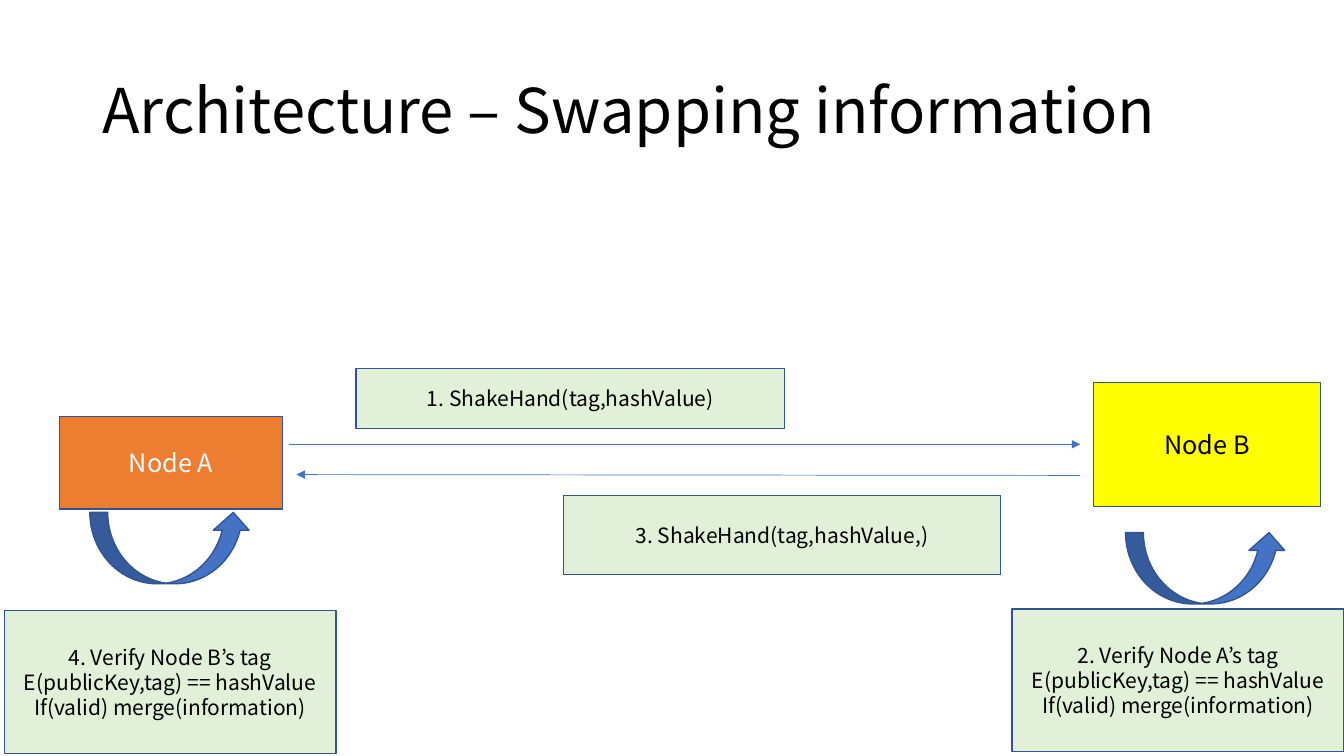
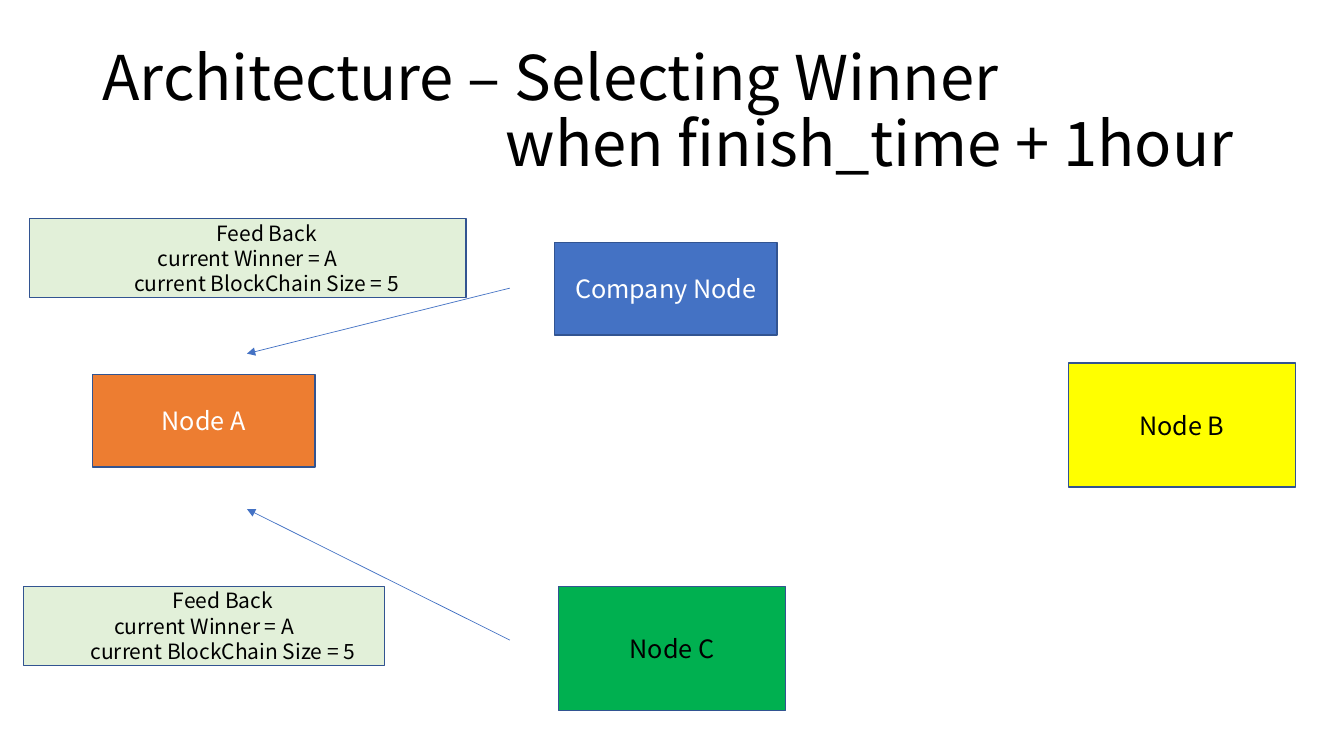
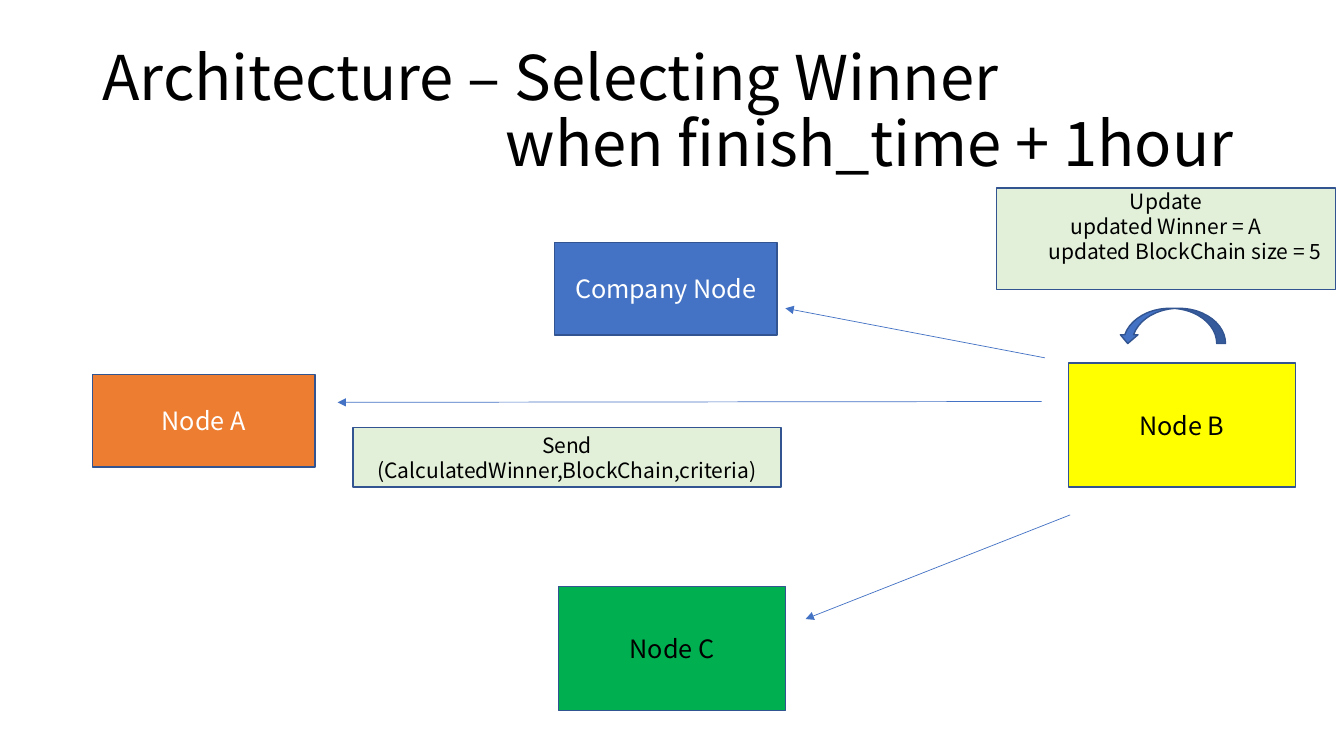
"""Three architecture slides: swapping information and selecting a winner."""
from dataclasses import dataclass

from lxml import etree
from pptx import Presentation
from pptx.dml.color import RGBColor
from pptx.enum.shapes import MSO_CONNECTOR, MSO_SHAPE
from pptx.enum.text import MSO_ANCHOR, MSO_AUTO_SIZE, PP_ALIGN
from pptx.oxml.ns import qn
from pptx.util import Inches, Pt

RECT, LOOP = MSO_SHAPE.RECTANGLE, MSO_SHAPE.CURVED_UP_ARROW
STRAIGHT = MSO_CONNECTOR.STRAIGHT
MIDDLE = MSO_ANCHOR.MIDDLE
LEFT, CENTER = PP_ALIGN.LEFT, PP_ALIGN.CENTER
NO_FIT = MSO_AUTO_SIZE.NONE

SLIDE_W, SLIDE_H = Inches(13.333), Inches(7.5)
COLS, ROWS = 160, 90
FONT = "Noto Sans CJK KR"
COLORS = {
    "black": "000000", "white": "FFFFFF", "orange": "ED7D31", "yellow": "FFFF00",
    "green": "00B050", "blue": "4472C4", "mint": "E2F0D9", "edge": "325491",
}
TITLE_BOX = (11, 4.8, 138, 17.4)
TITLE_SIZE, NODE_SIZE, NOTE_SIZE = 44, 18, 15
TITLE_INDENT = 48
NOTE_INDENT = 4.5
SMALL_NODE, LARGE_NODE = (26.5, 11), (27, 14.8)
VERIFY_SIZE = (39.5, 17)
LOOP_SIZE = (19.2, 8.5)


@dataclass(frozen=True)
class Line:
    """One line of text, indented by a number of columns."""
    text: str
    indent: float = 0


@dataclass(frozen=True)
class Box:
    """A filled rectangle with centred text, placed on the grid."""
    at: tuple[float, float]
    size: tuple[float, float]
    lines: tuple[Line, ...]
    fill: str = "mint"
    color: str = "black"
    font_size: int = NOTE_SIZE
    bottom_rows: float = 0.6


@dataclass(frozen=True)
class Arrow:
    """A straight arrow between two grid points."""
    start: tuple[float, float]
    end: tuple[float, float]


@dataclass(frozen=True)
class Loop:
    """A curved arrow from a node back to itself."""
    at: tuple[float, float]
    size: tuple[float, float] = LOOP_SIZE
    rotation: float = 0


@dataclass(frozen=True)
class Page:
    """The title and the drawn items of one slide."""
    title: tuple[Line, ...]
    items: tuple[Box | Arrow | Loop, ...]


def x(cols: float) -> int:
    """Convert grid columns to a length."""
    return round(SLIDE_W * cols / COLS)


def y(rows: float) -> int:
    """Convert grid rows to a length."""
    return round(SLIDE_H * rows / ROWS)


def rgb(name: str) -> RGBColor:
    """Look up a named colour."""
    return RGBColor.from_string(COLORS[name])


def node(name: str, at: tuple[float, float], fill: str,
         color: str = "black", size: tuple[float, float] = LARGE_NODE) -> Box:
    """Describe a network node."""
    return Box(at, size, (Line(name),), fill, color, NODE_SIZE)


def node_a(at: tuple[float, float]) -> Box:
    """Describe node A."""
    return node("Node A", at, "orange", "white", SMALL_NODE)


def node_b(at: tuple[float, float]) -> Box:
    """Describe node B."""
    return node("Node B", at, "yellow")


def verify(step: int, other: str, at: tuple[float, float]) -> Box:
    """Describe the check of the other node's tag."""
    return Box(at, VERIFY_SIZE, (
        Line(f"{step}. Verify Node {other}’s tag"),
        Line("E(publicKey,tag) == hashValue"),
        Line("If(valid) merge(information)"),
    ))


def feedback(at: tuple[float, float], width: float) -> Box:
    """Describe the feedback sent to node A."""
    return Box(at, (width, 9.4), (
        Line("Feed Back", NOTE_INDENT),
        Line("current Winner = A"),
        Line("current BlockChain Size = 5", NOTE_INDENT),
    ))


def write(tf, lines: tuple[Line, ...], size: int, color: str, align) -> None:
    """Fill a text frame with one paragraph per line."""
    tf.word_wrap = True
    tf.auto_size = NO_FIT
    tf.vertical_anchor = MIDDLE
    for i, line in enumerate(lines):
        p = tf.add_paragraph() if i else tf.paragraphs[0]
        p.alignment = align
        if line.indent:
            p._p.get_or_add_pPr().set("marL", str(x(line.indent)))
        r = p.add_run()
        r.text = line.text
        r.font.name, r.font.size = FONT, Pt(size)
        r.font.color.rgb = rgb(color)


def draw_shape(s, kind, at: tuple[float, float], size: tuple[float, float], fill: str):
    """Add an outlined preset shape."""
    sp = s.shapes.add_shape(kind, x(at[0]), y(at[1]), x(size[0]), y(size[1]))
    sp.shadow.inherit = False
    sp.fill.solid()
    sp.fill.fore_color.rgb = rgb(fill)
    sp.line.color.rgb = rgb("edge")
    sp.line.width = Pt(1)
    return sp


def draw_box(s, box: Box) -> None:
    """Draw a text rectangle."""
    tf = draw_shape(s, RECT, box.at, box.size, box.fill).text_frame
    write(tf, box.lines, box.font_size, box.color, CENTER)
    tf.margin_bottom = y(box.bottom_rows)


def draw_loop(s, loop: Loop) -> None:
    """Draw a curved arrow."""
    draw_shape(s, LOOP, loop.at, loop.size, "blue").rotation = loop.rotation


def draw_arrow(s, arrow: Arrow) -> None:
    """Draw a thin connector with an arrowhead at its end."""
    (x1, y1), (x2, y2) = arrow.start, arrow.end
    sp = s.shapes.add_connector(STRAIGHT, x(x1), y(y1), x(x2), y(y2))
    sp.line.color.rgb = rgb("blue")
    sp.line.width = Pt(0.5)
    etree.SubElement(sp.line._get_or_add_ln(), qn("a:tailEnd"), type="triangle")
    etree.SubElement(sp._element.spPr, qn("a:effectLst"))


def draw_title(s, lines: tuple[Line, ...]) -> None:
    """Place and fill the title placeholder."""
    sp = s.shapes.title
    left, top, width, height = TITLE_BOX
    sp.left, sp.top, sp.width, sp.height = x(left), y(top), x(width), y(height)
    write(sp.text_frame, lines, TITLE_SIZE, "black", LEFT)
    for p in sp.text_frame.paragraphs:
        p.line_spacing = 0.9
        p.space_before = Pt(0)


DRAW = {Box: draw_box, Arrow: draw_arrow, Loop: draw_loop}

WINNER_TITLE = (
    Line("Architecture – Selecting Winner"),
    Line("when finish_time + 1hour", TITLE_INDENT),
)
NETWORK = (
    node_a((11, 44.6)),
    node_b((127.2, 43.2)),
    node("Node C", (66.5, 69.8), "green"),
    node("Company Node", (66, 28.9), "blue", "white", SMALL_NODE),
)
PAGES = (
    Page((Line("Architecture – Swapping information"),), (
        node_a((7.1, 49.6)),
        Box((42.4, 43.9), (51, 7.1), (Line("1. ShakeHand(tag,hashValue)"),)),
        Box((67.1, 59), (52, 9.4), (Line("3. ShakeHand(tag,hashValue,)"),)),
        node_b((130.2, 45.5)),
        Arrow((34.4, 52.9), (128.6, 52.9)),
        verify(2, "A", (120.5, 72.5)),
        Arrow((128.6, 56.6), (35.3, 56.5)),
        Loop((134, 63.4)),
        Loop((10.7, 61)),
        verify(4, "B", (0.5, 72.7)),
    )),
    Page(WINNER_TITLE, NETWORK + (
        Arrow((60.7, 76.2), (29.4, 60.6)),
        Arrow((60.7, 34.3), (29.4, 42.1)),
        feedback((2.8, 69.8), 43),
        feedback((3.5, 26), 52),
    )),
    Page(WINNER_TITLE, NETWORK + (
        Box((42, 50.9), (51, 7.1),
            (Line("Send"), Line("(CalculatedWinner,BlockChain,criteria)"))),
        Arrow((124, 47.8), (40.2, 47.9)),
        Arrow((127.4, 61.3), (95.9, 73.7)),
        Arrow((124.4, 42.6), (93.5, 36.7)),
        Loop((133.2, 36.7), (12.7, 4.2), 180),
        Box((118.6, 22.4), (40.4, 12.1), (
            Line("Update"),
            Line("updated Winner = A"),
            Line("updated BlockChain size = 5", NOTE_INDENT),
        ), bottom_rows=3.6),
    )),
)


def main() -> None:
    """Build and save the presentation."""
    prs = Presentation()
    prs.slide_width, prs.slide_height = SLIDE_W, SLIDE_H
    title_only = prs.slide_layouts.get_by_name("Title Only")
    for page in PAGES:
        s = prs.slides.add_slide(title_only)
        draw_title(s, page.title)
        for item in page.items:
            DRAW[type(item)](s, item)
    prs.save("out.pptx")


main()
